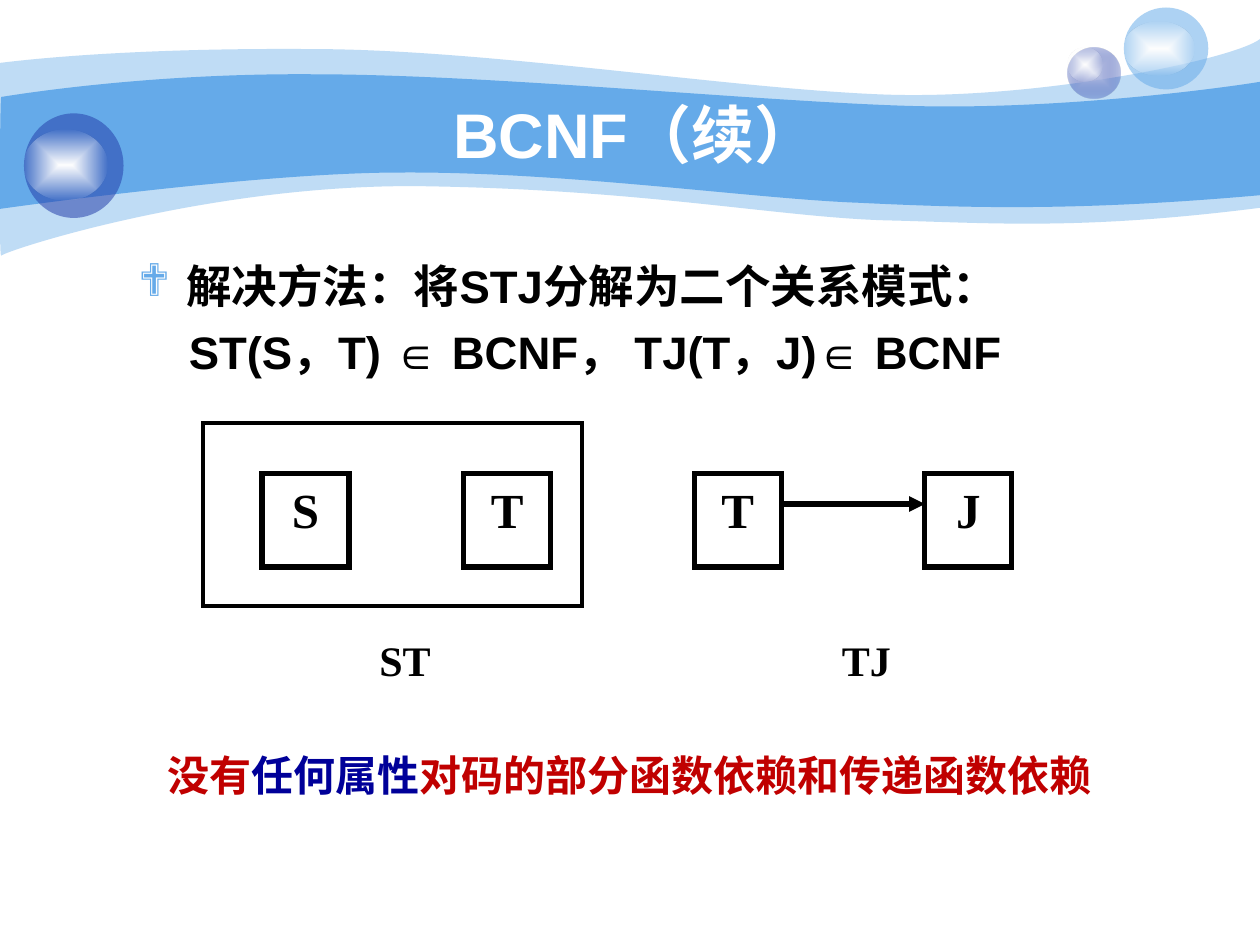
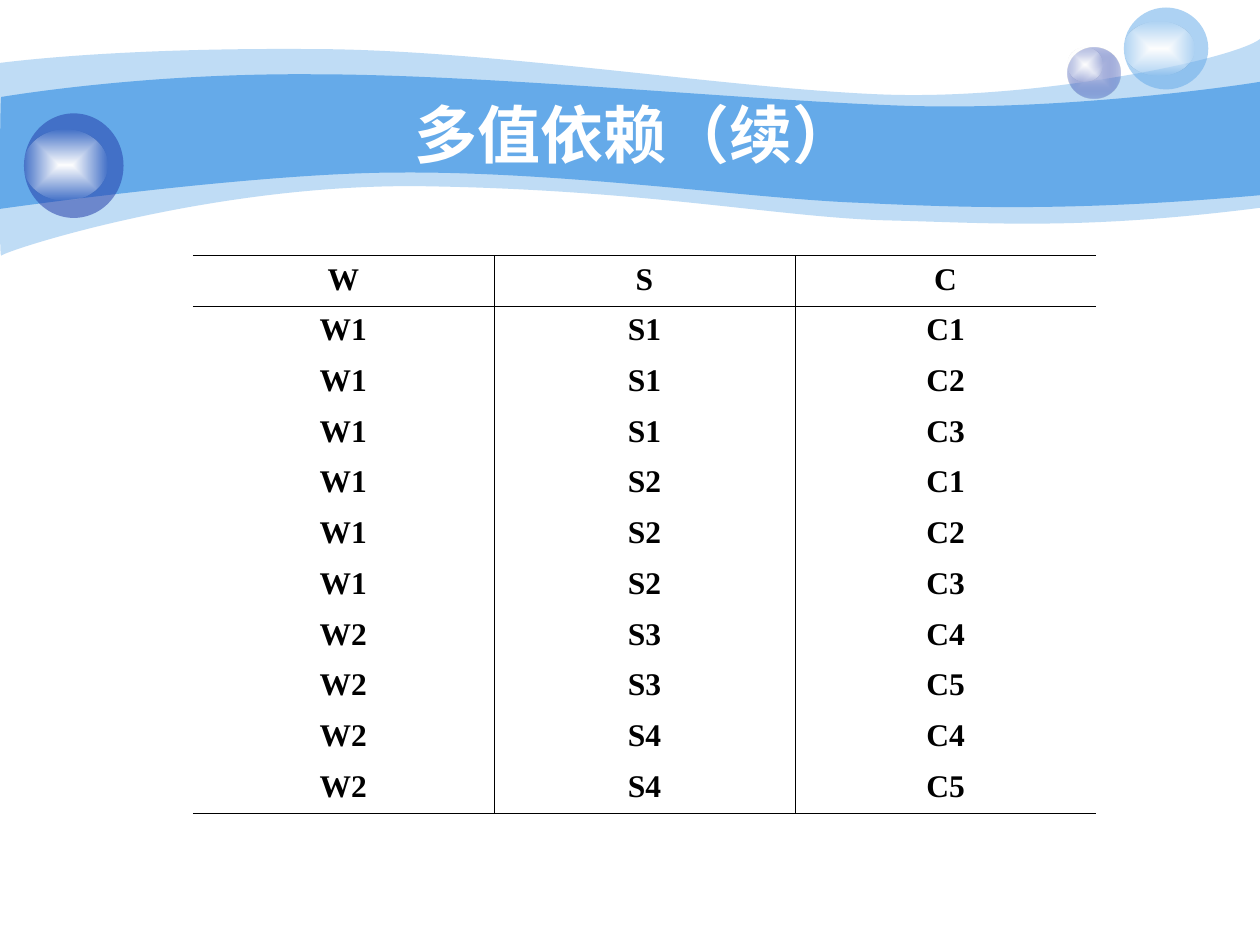
"""Build two database-theory slides: BCNF decomposition and multivalued dependency."""
from lxml import etree
from pptx import Presentation
from pptx.dml.color import RGBColor
from pptx.enum.shapes import MSO_CONNECTOR as Connector, MSO_SHAPE as Shape
from pptx.enum.text import MSO_ANCHOR as Anchor, PP_ALIGN as Align
from pptx.oxml import parse_xml
from pptx.oxml.ns import nsdecls, qn
from pptx.util import Inches, Pt

SKY = RGBColor(0x65, 0xAA, 0xE9)
INDIGO = RGBColor(0x23, 0x3D, 0xA9)
LAVENDER = RGBColor(0xC7, 0xCE, 0xE9)
WHITE = RGBColor(0xFF, 0xFF, 0xFF)
BLACK = RGBColor(0, 0, 0)
RED = RGBColor(0xC0, 0, 0)
NAVY = RGBColor(0, 0, 0x99)
SANS, SERIF = "Arial", "Times New Roman"

BCNF_TITLE = "BCNF（续）"
SOLUTION = "解决方法：将STJ分解为二个关系模式："
SCHEMAS = "ST(S，T) ∈ BCNF， TJ(T，J)∈ BCNF"
CONCLUSION = [("没有", RED), ("任何属性", NAVY), ("对码的部分函数依赖和传递函数依赖", RED)]
ATTRIBUTES = [("S", 2.08), ("T", 3.68), ("T", 5.51), ("J", 7.34)]
RELATIONS = [("ST", 2.76), ("TJ", 6.42)]

MVD_TITLE = "多值依赖（续）"
HEADER = ("W", "S", "C")
WAREHOUSES = [
    ("W1", ("S1", "S2"), ("C1", "C2", "C3")),
    ("W2", ("S3", "S4"), ("C4", "C5")),
]

WAVES = [
    (41, (0, 0.5), [
        [(0.24, 0.47), (1.07, 0.38), (2.47, 0.39)],
        [(3.86, 0.39), (5.75, 0.7), (6.99, 0.75)],
        [(8.22, 0.8), (9.8, 0.47), (10, 0.31)],
        [(10, 1.65)],
        [(8.58, 1.83), (7.87, 1.77), (7.05, 1.75)],
        [(6.22, 1.73), (5.15, 1.51), (3.43, 1.48)],
        [(1.72, 1.44), (0.04, 1.99), (0.01, 2.03)],
        [(-0.01, 2.08), (0, 0.75), (0, 0.5)],
    ]),
    (100, (0.01, 0.77), [
        [(0.02, 0.77), (1.1, 0.58), (2.48, 0.59)],
        [(3.86, 0.59), (5.95, 0.8), (7.18, 0.84)],
        [(8.41, 0.88), (9.76, 0.69), (10, 0.65)],
        [(10, 1.55)],
        [(8.53, 1.68), (7.65, 1.65), (6.82, 1.61)],
        [(5.99, 1.58), (4.47, 1.36), (3.17, 1.37)],
        [(2.03, 1.37), (-0.02, 1.66), (-0.01, 1.66)],
        [(0, 1.66), (0, 0.77), (0.01, 0.77)],
    ]),
]
GLOW = [(WHITE, 100), (WHITE, 0)]
BUBBLES = [
    ((8.47, 0.38, 0.42, 0.4), [(LAVENDER, 100), (INDIGO, 31)]),
    ((8.47, 0.38, 0.28, 0.27), GLOW),
    ((8.92, 0.06, 0.67, 0.65), [(SKY, 53)]),
    ((8.92, 0.17, 0.56, 0.43), GLOW),
    ((0.19, 0.9, 0.79, 0.83), [(INDIGO, 53)]),
    ((0.19, 1.03, 0.66, 0.56), GLOW),
]


def inches(*lengths):
    return [Inches(length) for length in lengths]


def color_xml(color, opacity):
    return f'<a:srgbClr val="{color}"><a:alpha val="{opacity * 1000}"/></a:srgbClr>'


def paint(shape, stops):
    shape.shadow.inherit = False
    shape.line.fill.background()
    shape.fill.background()
    if len(stops) == 1:
        xml = f'<a:solidFill {nsdecls("a")}>{color_xml(*stops[0])}</a:solidFill>'
    else:
        marks = "".join(f'<a:gs pos="{i * 100000}">{color_xml(*stop)}</a:gs>'
                        for i, stop in enumerate(stops))
        xml = (f'<a:gradFill {nsdecls("a")} rotWithShape="1"><a:gsLst>{marks}</a:gsLst>'
               '<a:path path="rect"><a:fillToRect l="50000" t="50000" r="50000" b="50000"/>'
               '</a:path></a:gradFill>')
    properties = shape.fill._xPr
    properties.replace(properties.find(qn("a:noFill")), parse_xml(xml))


def add_wave(slide, start, segments):
    builder = slide.shapes.build_freeform(*inches(*start))
    builder.add_line_segments([inches(*point) for segment in segments for point in segment])
    wave = builder.convert_to_shape()
    steps = iter(list(wave._element.iter(qn("a:lnTo"))))
    for segment in segments:
        first, *others = [next(steps) for _ in segment]
        if others:
            first.tag = qn("a:cubicBezTo")
            for step in others:
                first.append(step[0])
                step.getparent().remove(step)
    return wave


def style(paragraph, size, color=BLACK, face=SANS, align=Align.LEFT):
    paragraph.alignment = align
    font = paragraph.font
    font.name, font.size, font.bold = face, Pt(size), True
    if color is not None:
        font.color.rgb = color


def add_text(slide, box, text, size, anchor=Anchor.TOP, **look):
    frame = slide.shapes.add_textbox(*inches(*box)).text_frame
    frame.word_wrap = True
    frame.vertical_anchor = anchor
    frame.text = text
    style(frame.paragraphs[0], size, **look)


def add_frame(slide, box, width):
    frame = slide.shapes.add_shape(Shape.RECTANGLE, *inches(*box))
    frame.shadow.inherit = False
    frame.fill.background()
    frame.line.color.rgb = BLACK
    frame.line.width = Pt(width)
    etree.SubElement(frame.line._get_or_add_ln(), qn("a:miter"), lim="800000")
    return frame


def add_themed_slide(deck, title):
    slide = deck.slides.add_slide(deck.slide_layouts[6])
    for opacity, start, segments in WAVES:
        paint(add_wave(slide, start, segments), [(SKY, opacity)])
    for box, stops in BUBBLES:
        paint(slide.shapes.add_shape(Shape.OVAL, *inches(*box)), stops)
    add_text(slide, (1, 0.75, 8.08, 0.62), title, 36, Anchor.MIDDLE,
             color=WHITE, align=Align.CENTER)
    return slide


def indent(paragraph, left, first=0):
    properties = paragraph._p.get_or_add_pPr()
    properties.set("marL", str(Inches(left)))
    properties.set("indent", str(Inches(first)))
    return properties


def add_bullet(paragraph, mark, color):
    properties = indent(paragraph, 0.38, -0.38)
    bullet_color = etree.SubElement(properties, qn("a:buClr"))
    etree.SubElement(bullet_color, qn("a:srgbClr"), val=str(color))
    etree.SubElement(properties, qn("a:buFont"), typeface="Wingdings", charset="2")
    etree.SubElement(properties, qn("a:buChar"), char=mark)


def add_arrow(slide, start, end):
    arrow = slide.shapes.add_connector(Connector.STRAIGHT, *inches(*start, *end))
    arrow.line.color.rgb = BLACK
    arrow.line.width = Pt(3)
    etree.SubElement(arrow.line._get_or_add_ln(), qn("a:tailEnd"), type="triangle")
    etree.SubElement(arrow._element.spPr, qn("a:effectLst"))


def build_bcnf(deck):
    slide = add_themed_slide(deck, BCNF_TITLE)
    body = slide.shapes.add_textbox(*inches(1, 2, 8.5, 4.5)).text_frame
    body.word_wrap = True
    solution, schemas, conclusion = (body.paragraphs[0], body.add_paragraph(),
                                     body.add_paragraph())
    solution.text, schemas.text = SOLUTION, SCHEMAS
    add_bullet(solution, "❖", SKY)
    indent(schemas, 0.4)
    schemas.space_before = Pt(6.5)
    style(solution, 26)
    style(schemas, 26)
    indent(conclusion, 0.23)
    conclusion.space_before = Pt(212)
    style(conclusion, 24, color=None)
    for words, color in CONCLUSION:
        run = conclusion.add_run()
        run.text = words
        run.font.color.rgb = color

    for name, left in ATTRIBUTES:
        frame = add_frame(slide, (left, 3.76, 0.69, 0.74), 3).text_frame
        frame.vertical_anchor = Anchor.TOP
        frame.text = name
        style(frame.paragraphs[0], 28, face=SERIF, align=Align.CENTER)
    add_arrow(slide, (6.19, 4), (7.34, 4))
    for name, left in RELATIONS:
        add_text(slide, (left, 4.99, 0.91, 0.74), name, 24, face=SERIF, align=Align.CENTER)
    add_frame(slide, (1.61, 3.36, 3.01, 1.45), 2.25)


def set_borders(cell, visible):
    properties = cell._tc.get_or_add_tcPr()
    for place, side in enumerate("LRTB"):
        line = etree.Element(qn(f"a:ln{side}"), w=str(Pt(0.45)))
        if side in visible:
            fill = etree.SubElement(line, qn("a:solidFill"))
            etree.SubElement(fill, qn("a:srgbClr"), val=str(BLACK))
        else:
            etree.SubElement(line, qn("a:noFill"))
        properties.insert(place, line)


def build_mvd(deck):
    slide = add_themed_slide(deck, MVD_TITLE)
    records = [HEADER] + [(w, s, c) for w, staff, goods in WAREHOUSES
                          for s in staff for c in goods]
    last_row, last_column = len(records) - 1, len(HEADER) - 1
    table = slide.shapes.add_table(len(records), len(HEADER),
                                   *inches(1.53, 2.03, 7.17, 4.43)).table
    table.first_row = table.horz_banding = False
    for r, record in enumerate(records):
        for c, value in enumerate(record):
            cell = table.cell(r, c)
            cell.text = value
            cell.fill.background()
            style(cell.text_frame.paragraphs[0], 18, face=SERIF, align=Align.CENTER)
            rules = {"L": c > 0, "R": c < last_column, "T": r < 2, "B": r in (0, last_row)}
            set_borders(cell, [side for side, shown in rules.items() if shown])


def main():
    deck = Presentation()
    deck.slide_width, deck.slide_height = inches(10, 7.5)
    build_bcnf(deck)
    build_mvd(deck)
    deck.save("out.pptx")


if __name__ == "__main__":
    main()
